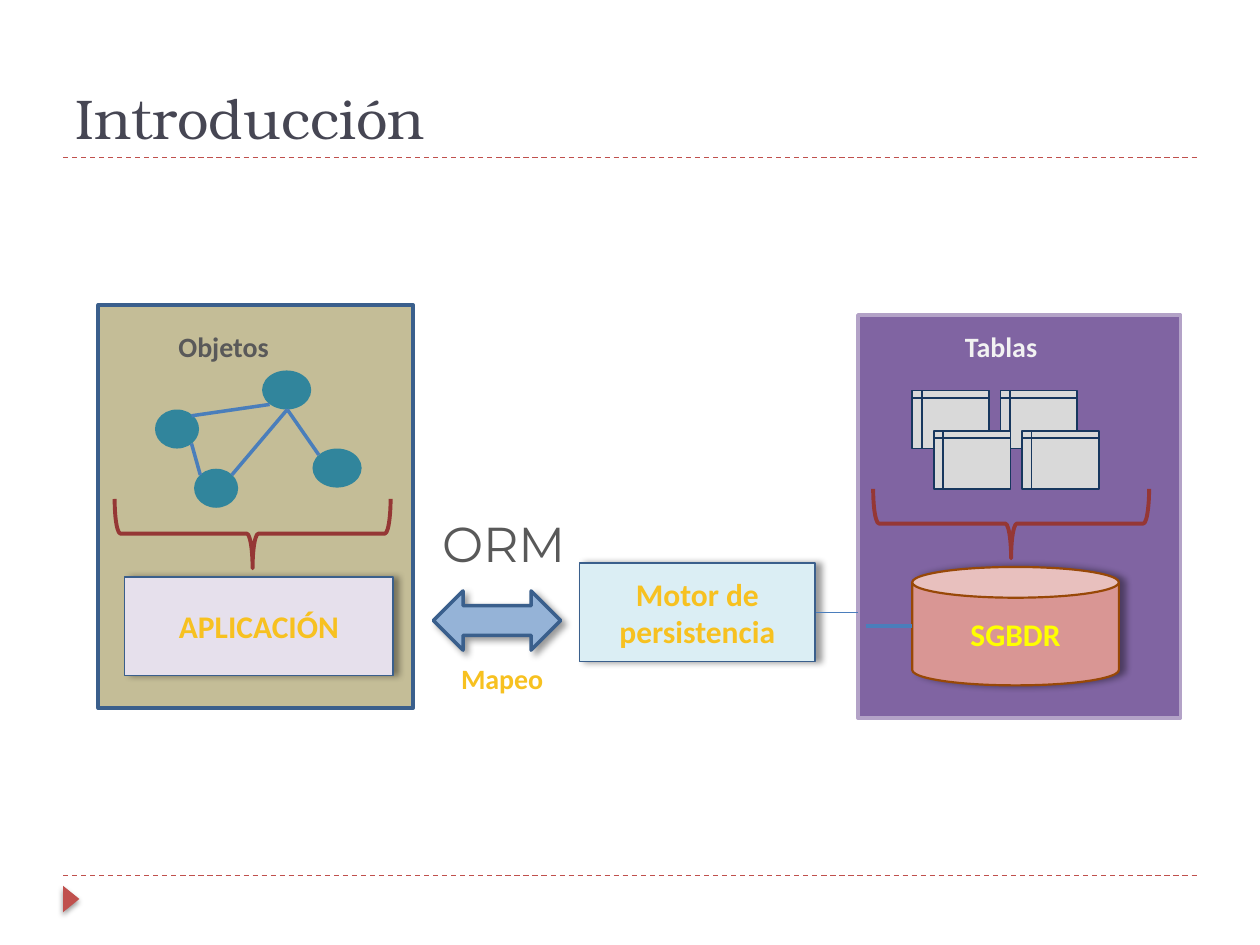
from lxml import etree
from pptx import Presentation
from pptx.dml.color import RGBColor
from pptx.enum import dml, shapes, text
from pptx.oxml import parse_xml
from pptx.oxml.ns import nsdecls, qn
from pptx.util import Inches, Pt

presentation = Presentation()
presentation.slide_width, presentation.slide_height = Inches(10), Inches(7.5)
slide = presentation.slides.add_slide(presentation.slide_layouts[5])
kinds = shapes.MSO_SHAPE
color = RGBColor.from_string


def add_shape(kind, box, fill=None, line=None, width=1, shadow=None):
    """Add a preset shape; shadow is (blur, distance, angle)."""
    shape = slide.shapes.add_shape(kind, *map(Inches, box))
    shape.shadow.inherit = False
    if fill:
        shape.fill.solid()
        shape.fill.fore_color.rgb = color(fill)
    else:
        shape.fill.background()
    if line:
        shape.line.color.rgb = color(line)
        shape.line.width = Pt(width)
    else:
        shape.line.fill.background()
    if shadow:
        blur, distance, angle = shadow
        effects = shape._element.spPr.find(qn("a:effectLst"))
        effects.append(parse_xml(
            f'<a:outerShdw {nsdecls("a")} blurRad="{Pt(blur)}" dist="{Pt(distance)}" '
            f'dir="{angle * 60000}" algn="tl" rotWithShape="0">'
            '<a:srgbClr val="000000"><a:alpha val="40000"/></a:srgbClr></a:outerShdw>'))
    return shape


def write(shape, words, size, font, fill, bold=False, align=text.PP_ALIGN.CENTER,
          anchor=text.MSO_ANCHOR.MIDDLE, wrap=True):
    frame = shape.text_frame
    frame.auto_size = text.MSO_AUTO_SIZE.NONE
    frame.word_wrap = wrap
    frame.vertical_anchor = anchor
    paragraph = frame.paragraphs[0]
    paragraph.text = words
    paragraph.alignment = align
    paragraph.font.size = Pt(size)
    paragraph.font.name = font
    paragraph.font.bold = bold
    paragraph.font.color.rgb = color(fill)


# Title
title = slide.shapes.title
title.left, title.top, title.width, title.height = map(Inches, (0.5, 0.17, 9, 1.08))
write(title, "Introducción", 32, "TeX Gyre Bonum", "464653",
      align=text.PP_ALIGN.LEFT, anchor=text.MSO_ANCHOR.BOTTOM)

# Footer marker and the two panels
marker = add_shape(kinds.ISOSCELES_TRIANGLE, (0.46, 7.07, 0.21, 0.13), "C0504D",
                   shadow=(3, 2, 90))
marker.rotation = 90
add_shape(kinds.RECTANGLE, (0.78, 2.42, 2.5, 3.2), "C4BD97", "3A5F8C", 2)
add_shape(kinds.RECTANGLE, (6.81, 2.5, 2.56, 3.2), "8064A2", "B3A2C7", 2)

# Labelled blocks
for kind, box, fill, line, width, words, ink in [
    (kinds.RECTANGLE, (0.99, 4.58, 2.13, 0.78), "E6E0EC", "3A5F8C", 0.75,
     "APLICACIÓN", "F7C120"),
    (kinds.RECTANGLE, (4.6, 4.47, 1.87, 0.78), "DBEEF4", "3A5F8C", 1,
     "Motor de persistencia", "F7C120"),
    (kinds.CAN, (7.24, 4.5, 1.64, 0.94), "D99694", "984807", 1.25,
     "SGBDR", "FFFF00"),
]:
    block = add_shape(kind, box, fill, line, width, shadow=(4, 3, 0))
    if kind == kinds.CAN:
        block.adjustments[0] = 0.26
    write(block, words, 18, "Calibri", ink, bold=True)

# Mapping arrow
add_shape(kinds.LEFT_RIGHT_ARROW, (3.44, 4.69, 1.01, 0.47), "95B3D7", "3A5F8C", 2,
          shadow=(4, 3, 45))

# Object nodes
for left, top, width in [(2.08, 2.94, 0.39), (1.23, 3.25, 0.35),
                         (2.48, 3.56, 0.39), (1.54, 3.72, 0.35)]:
    add_shape(kinds.OVAL, (left, top, width, 0.31), "31859C")

# Tables: two overlapping rows of two
for row_left, top in [(7.24, 3.1), (7.41, 3.42)]:
    for column in range(2):
        add_shape(kinds.FLOWCHART_INTERNAL_STORAGE,
                  (row_left + 0.7 * column, top, 0.61, 0.46), "D9D9D9", "17375E", 1)

# Rules, object links and database links
rule, link = ("C0504D", 0.75, True), ("4A7EBB", 2, False)
for start, end, (line, width, dashed) in [
    ((0.5, 6.95), (9.5, 6.95), rule),
    ((0.5, 1.25), (9.5, 1.25), rule),
    ((2.14, 3.21), (1.52, 3.3), link),
    ((2.28, 3.25), (2.53, 3.61), link),
    ((1.52, 3.52), (1.59, 3.77), link),
    ((2.28, 3.25), (1.84, 3.77), link),
    ((6.87, 4.97), (7.24, 4.97), ("4A7EBB", 2.25, False)),
    ((6.48, 4.86), (6.81, 4.86), ("4B7EBC", 0.75, False)),
]:
    connector = slide.shapes.add_connector(
        shapes.MSO_CONNECTOR.STRAIGHT, *map(Inches, start + end))
    connector.line.color.rgb = color(line)
    connector.line.width = Pt(width)
    if dashed:
        connector.line.dash_style = dml.MSO_LINE.DASH
    etree.SubElement(connector._element.spPr, qn("a:effectLst"))

# Braces
for left, top in [(1.73, 3.14), (7.75, 3.06)]:
    brace = add_shape(kinds.LEFT_BRACE, (left, top, 0.55, 2.19), None, "953735", 2.25)
    brace.rotation = 270

# Captions
for words, box, size, font, ink, bold in [
    ("Objetos", (1.23, 2.57, 1.09, 0.63), 16, "Calibri", "595959", True),
    ("Tablas", (7.4, 2.57, 1.09, 0.36), 16, "Calibri", "F2F2F2", True),
    ("Mapeo", (3.44, 5.2, 1.09, 0.36), 16, "Calibri", "F7C120", True),
    ("ORM", (3.41, 4.03, 1.19, 0.56), 28, "Montserrat", "595959", False),
]:
    caption = slide.shapes.add_textbox(*map(Inches, box))
    write(caption, words, size, font, ink, bold, align=text.PP_ALIGN.CENTER if bold
          else text.PP_ALIGN.LEFT, anchor=text.MSO_ANCHOR.TOP, wrap=bold)

presentation.save("out.pptx")
